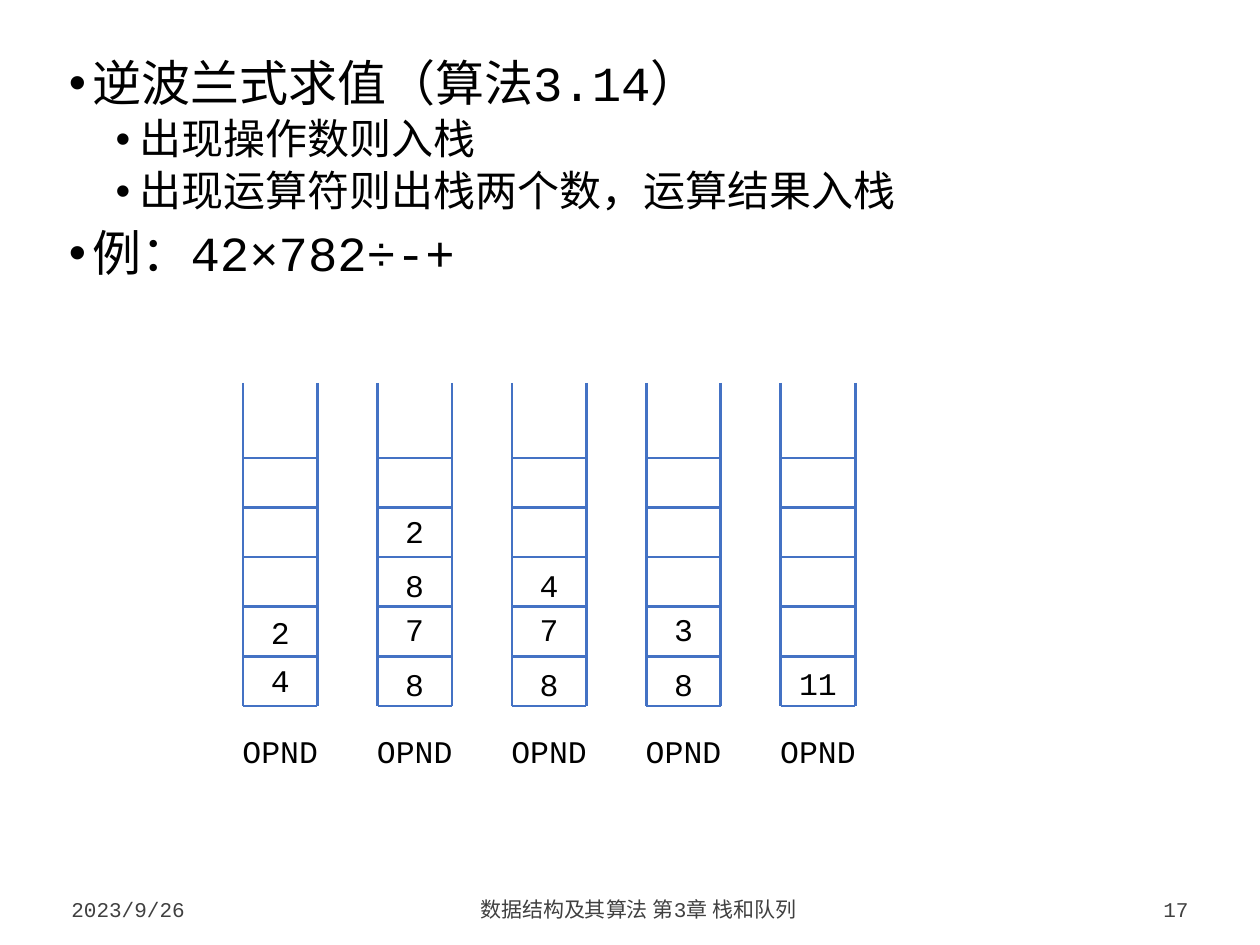
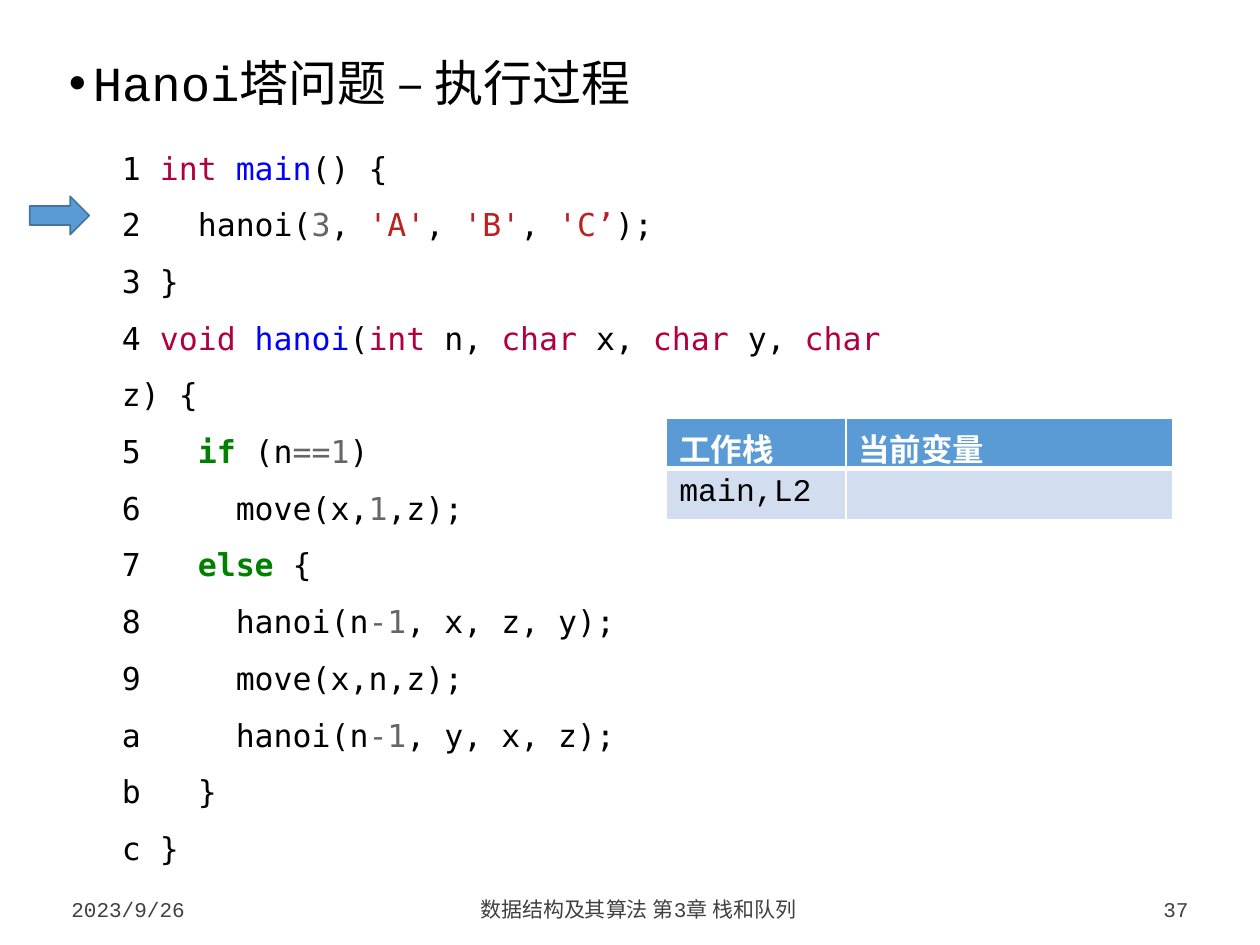
import lxml.etree
import pptx
import pptx.dml.color
import pptx.enum.shapes
import pptx.enum.text
import pptx.oxml.ns
import pptx.util

Cm = pptx.util.Cm
Pt = pptx.util.Pt
qn = pptx.oxml.ns.qn
ALIGN = pptx.enum.text.PP_ALIGN
ANCHOR = pptx.enum.text.MSO_ANCHOR

BLACK, WHITE, FOOTER_GREY = "000000", "FFFFFF", "404040"
STACK_BLUE, HEADER_BLUE, ROW_BLUE, ARROW_EDGE = "4472C4", "5B9BD5", "D2DEEF", "43739E"
TYPE, NAME, NUMBER, STRING, KEYWORD = "B00040", "0000FF", "666666", "BA2121", "008000"


def colour(hex_string):
    return pptx.dml.color.RGBColor.from_string(hex_string)


def add_run(paragraph, text, size, hex_string, font="Courier New", bold=False):
    run = paragraph.add_run()
    run.text = text
    run.font.size = Pt(size)
    run.font.name = font
    run.font.bold = bold
    run.font.color.rgb = colour(hex_string)


presentation = pptx.Presentation()
presentation.slide_width = Cm(25.4)
presentation.slide_height = Cm(19.05)

outlines = [
    (17, [
        (0, "逆波兰式求值（算法3.14）"),
        (1, "出现操作数则入栈"),
        (1, "出现运算符则出栈两个数，运算结果入栈"),
        (0, "例：42×782÷-+"),
    ]),
    (37, [(0, "Hanoi塔问题 – 执行过程")]),
]
level_formats = [(28, 7.5, 0.48), (24, 3.8, 1.42)]

labels = []
for number, items in outlines:
    slide = presentation.slides.add_slide(presentation.slide_layouts[1])
    title = slide.shapes.title
    title.element.getparent().remove(title.element)

    body = slide.placeholders[1]
    body.left, body.top, body.width, body.height = Cm(1.19), Cm(0.99), Cm(23.01), Cm(16.31)
    frame = body.text_frame
    frame.auto_size = pptx.enum.text.MSO_AUTO_SIZE.NONE
    frame.vertical_anchor = ANCHOR.TOP
    frame.margin_left = frame.margin_right = frame.margin_top = frame.margin_bottom = Cm(0.2)
    for index, (level, text) in enumerate(items):
        size, space, indent = level_formats[level]
        paragraph = frame.add_paragraph() if index else frame.paragraphs[0]
        paragraph.level = level
        properties = paragraph._p.get_or_add_pPr()
        properties.set("marL", str(Cm(indent)))
        properties.set("indent", str(Cm(-0.48)))
        lxml.etree.SubElement(properties, qn("a:buFont"), typeface="Arial")
        lxml.etree.SubElement(properties, qn("a:buChar"), char="•")
        paragraph.line_spacing = 0.9
        paragraph.space_before = Pt(space if index else 0)
        add_run(paragraph, text, size, BLACK)

    for left, width, text, alignment in [
        (1.19, 3.35, "2023/9/26", ALIGN.LEFT),
        (4.85, 16.03, "数据结构及其算法 第3章 栈和队列", ALIGN.CENTER),
        (21.21, 3, str(number), ALIGN.RIGHT),
    ]:
        labels.append((slide, left, 17.7, width, text, 12, FOOTER_GREY, alignment, ANCHOR.BOTTOM))

evaluation_slide, hanoi_slide = presentation.slides

stacks = [
    [("4", 13.21), ("2", 12.24)],
    [("8", 13.28), ("7", 12.17), ("8", 11.28), ("2", 10.19)],
    [("8", 13.28), ("7", 12.17), ("4", 11.28)],
    [("8", 13.28), ("3", 12.17)],
    [("11", 13.26)],
]
stack_width, stack_top, stack_bottom, cell_height = 1.5, 7.72, 14.23, 1
for index, operands in enumerate(stacks):
    left = 4.9 + 2.71 * index
    right = left + stack_width
    lines = [(x, stack_top, x, stack_bottom) for x in (left, right)]
    for row in range(6):
        y = stack_bottom - row * cell_height
        lines.append((left, y, right, y))
    for line in lines:
        connector = evaluation_slide.shapes.add_connector(
            pptx.enum.shapes.MSO_CONNECTOR.STRAIGHT, *[Cm(value) for value in line])
        connector.line.color.rgb = colour(STACK_BLUE)
        connector.line.width = Pt(1.5)
        lxml.etree.SubElement(connector.element.spPr, qn("a:effectLst"))
    for text, top in operands:
        labels.append((evaluation_slide, left, top, stack_width, text, 18, BLACK,
                       ALIGN.CENTER, ANCHOR.TOP))
    labels.append((evaluation_slide, left - 0.3, 14.63, stack_width + 0.6, "OPND", 18, BLACK,
                   ALIGN.CENTER, ANCHOR.TOP))

for slide, left, top, width, text, size, text_colour, alignment, anchor in labels:
    label = slide.shapes.add_textbox(Cm(left), Cm(top), Cm(width), Cm(1))
    label.text_frame.word_wrap = size == 12
    label.text_frame.vertical_anchor = anchor
    paragraph = label.text_frame.paragraphs[0]
    paragraph.alignment = alignment
    add_run(paragraph, text, size, text_colour)

code_lines = [
    [("1", BLACK), (" int ", TYPE), ("main", NAME), ("() {", BLACK)],
    [("2   hanoi(", BLACK), ("3", NUMBER), (", ", BLACK), ("'A'", STRING), (", ", BLACK),
     ("'B'", STRING), (", ", BLACK), ("'C’", STRING), (");", BLACK)],
    [("3 }", BLACK)],
    [("4", BLACK), (" void ", TYPE), ("hanoi", NAME), ("(", BLACK), ("int", TYPE),
     (" n, ", BLACK), ("char", TYPE), (" x, ", BLACK), ("char", TYPE), (" y, ", BLACK),
     ("char", TYPE), (" z) {", BLACK)],
    [("5   ", BLACK), ("if", KEYWORD), (" (n", BLACK), ("==1", NUMBER), (")", BLACK)],
    [("6     move(x,", BLACK), ("1", NUMBER), (",z);", BLACK)],
    [("7   ", BLACK), ("else", KEYWORD), (" {", BLACK)],
    [("8     hanoi(n", BLACK), ("-1", NUMBER), (", x, z, y);", BLACK)],
    [("9     move(x,n,z);", BLACK)],
    [("a     hanoi(n", BLACK), ("-1", NUMBER), (", y, x, z);", BLACK)],
    [("b   }", BLACK)],
    [("c }", BLACK)],
]
code_box = hanoi_slide.shapes.add_textbox(Cm(2.21), Cm(2.49), Cm(16.33), Cm(14))
code_box.text_frame.word_wrap = True
for index, code_line in enumerate(code_lines):
    frame = code_box.text_frame
    paragraph = frame.add_paragraph() if index else frame.paragraphs[0]
    paragraph.line_spacing = 1.5
    for text, text_colour in code_line:
        add_run(paragraph, text, 18, text_colour, "DejaVu Sans Mono", text_colour == KEYWORD)

table_rows = [
    (["工作栈", "当前变量"], 0.99, HEADER_BLUE, WHITE, True, {"L": 1, "R": 1, "T": 1, "B": 3}),
    (["main,L2", ""], 1.04, ROW_BLUE, BLACK, False, {"L": 1, "R": 1, "T": 3, "B": 1}),
]
table = hanoi_slide.shapes.add_table(2, 2, Cm(13.44), Cm(8.43), Cm(10.21), Cm(2.03)).table
table.columns[0].width = Cm(3.61)
table.columns[1].width = Cm(6.6)
for row, (texts, height, fill, text_colour, bold, borders) in enumerate(table_rows):
    table.rows[row].height = Cm(height)
    for column, text in enumerate(texts):
        cell = table.cell(row, column)
        properties = cell._tc.get_or_add_tcPr()
        for side, width in borders.items():
            border = lxml.etree.SubElement(properties, qn("a:ln" + side), w=str(Pt(width)))
            border_fill = lxml.etree.SubElement(border, qn("a:solidFill"))
            lxml.etree.SubElement(border_fill, qn("a:srgbClr"), val=WHITE)
        cell.fill.solid()
        cell.fill.fore_color.rgb = colour(fill)
        if text:
            add_run(cell.text_frame.paragraphs[0], text, 18, text_colour, bold=bold)

arrow = hanoi_slide.shapes.add_shape(
    pptx.enum.shapes.MSO_SHAPE.RIGHT_ARROW, Cm(0.6), Cm(3.96), Cm(1.2), Cm(0.77))
arrow.shadow.inherit = False
arrow.fill.solid()
arrow.fill.fore_color.rgb = colour(HEADER_BLUE)
arrow.line.color.rgb = colour(ARROW_EDGE)
arrow.line.width = Pt(1)

presentation.save("out.pptx")
